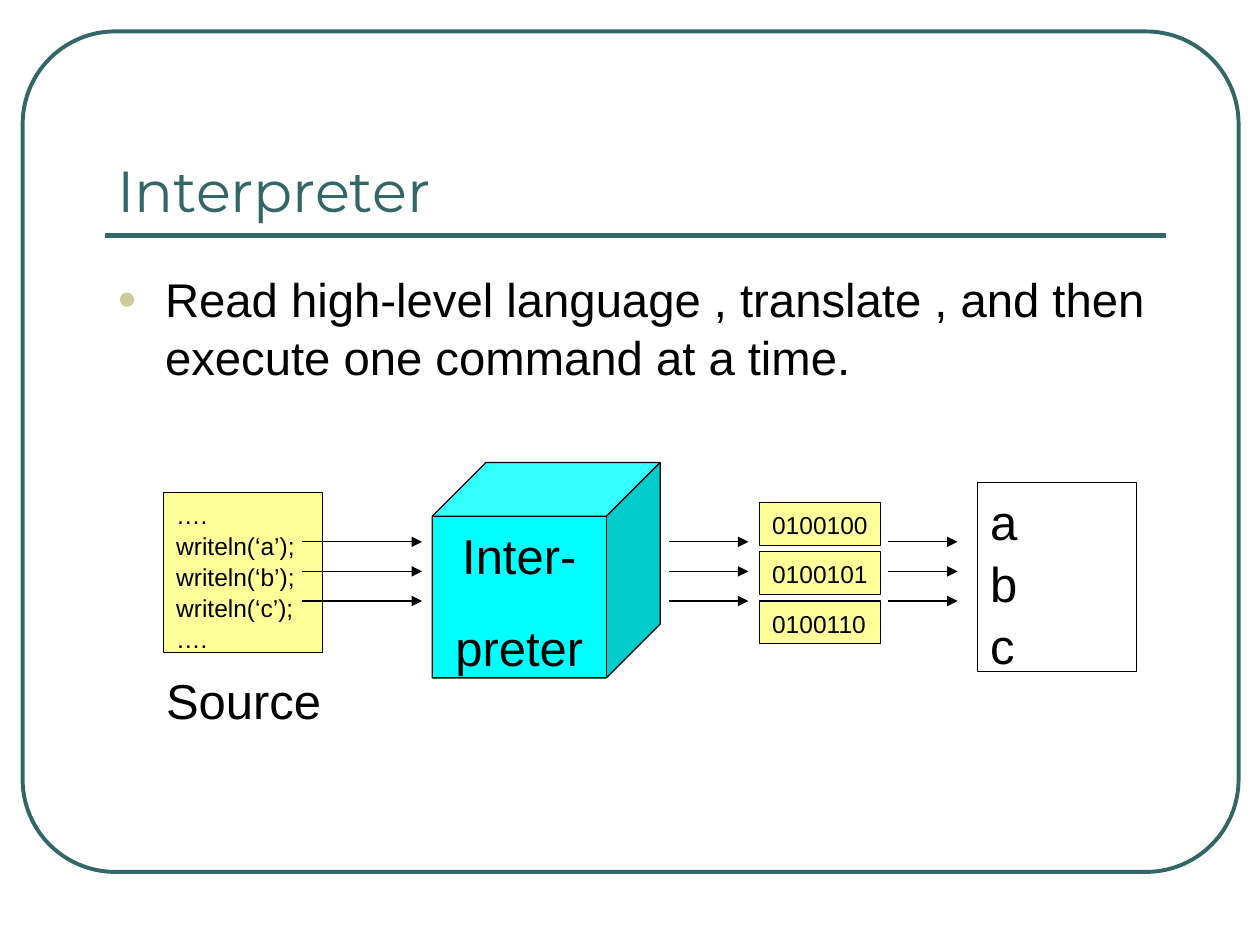
from dataclasses import dataclass

from lxml import etree
from pptx import Presentation
from pptx.dml.color import RGBColor
from pptx.enum.shapes import MSO_CONNECTOR, MSO_SHAPE
from pptx.enum.text import MSO_ANCHOR, MSO_AUTO_SIZE, PP_ALIGN
from pptx.oxml.ns import qn
from pptx.util import Inches, Pt

RECT, ROUNDED, CUBE = MSO_SHAPE.RECTANGLE, MSO_SHAPE.ROUNDED_RECTANGLE, MSO_SHAPE.CUBE
STRAIGHT = MSO_CONNECTOR.STRAIGHT
LEFT, CENTER = PP_ALIGN.LEFT, PP_ALIGN.CENTER
TOP, BOTTOM = MSO_ANCHOR.TOP, MSO_ANCHOR.BOTTOM
NO_AUTOFIT = MSO_AUTO_SIZE.NONE


@dataclass(frozen=True)
class Theme:
    accent: RGBColor = RGBColor.from_string("336666")
    bullet: str = "CCCC99"
    ink: RGBColor = RGBColor.from_string("000000")
    note: RGBColor = RGBColor.from_string("FFFF99")
    cube: RGBColor = RGBColor.from_string("00FFFF")
    title_font: str = "Montserrat"
    body_font: str = "Arial"
    title_size: int = 33
    body_size: int = 27
    label_size: int = 28
    code_size: int = 14
    frame_line: float = 2.25
    rule_line: float = 3
    thin_line: float = 0.75
    body_spacing: float = 1.03
    label_spacing: float = 1.05


THEME = Theme()


def place(sp, left, top, width, height):
    sp.left, sp.top = Inches(left), Inches(top)
    sp.width, sp.height = Inches(width), Inches(height)


def write(sp, lines, size, color=THEME.ink, font=THEME.body_font, align=LEFT,
          anchor=TOP, wrap=True, before=0, spacing=THEME.label_spacing):
    tf = sp.text_frame
    tf.auto_size = NO_AUTOFIT
    tf.word_wrap = wrap
    tf.vertical_anchor = anchor
    tf.margin_left = tf.margin_right = Inches(0.1)
    tf.margin_top = tf.margin_bottom = Inches(0.05)
    tf.text = "\n".join(lines)
    for p in tf.paragraphs:
        p.alignment = align
        p.space_before = Pt(before)
        p.line_spacing = spacing
        p.font.size = Pt(size)
        p.font.name = font
        p.font.color.rgb = color


def add_box(slide, kind, box, fill=None, line=THEME.ink, width=THEME.thin_line):
    sp = slide.shapes.add_shape(kind, *map(Inches, box))
    sp.shadow.inherit = False
    if fill is None:
        sp.fill.background()
    else:
        sp.fill.solid()
        sp.fill.fore_color.rgb = fill
    sp.line.color.rgb = line
    sp.line.width = Pt(width)
    return sp


def add_line(slide, x1, x2, y, color=THEME.ink, width=THEME.thin_line, arrow=False):
    line = slide.shapes.add_connector(STRAIGHT, Inches(x1), Inches(y), Inches(x2), Inches(y))
    line.line.color.rgb = color
    line.line.width = Pt(width)
    if arrow:
        etree.SubElement(line.line._get_or_add_ln(), qn("a:tailEnd"), type="triangle")
    etree.SubElement(line._element.spPr, qn("a:effectLst"))


def add_frame(slide, left, top, width, height):
    sp = add_box(slide, ROUNDED, (left, top, width, height),
                 line=THEME.accent, width=THEME.frame_line)
    sp.adjustments[0] = 0.11
    add_line(slide, left + 0.65, left + 9.07, top + 1.62, THEME.accent, THEME.rule_line)


def fill_title(sp, left, top, width, height):
    place(sp, left, top, width, height)
    write(sp, ["Interpreter"], THEME.title_size, THEME.accent, THEME.title_font,
          anchor=BOTTOM, spacing=1)


def fill_body(sp, left, top, width, height):
    place(sp, left, top, width, height)
    write(sp, ["Read high-level language , translate , and then execute one command at a time."],
          THEME.body_size, before=6.8, spacing=THEME.body_spacing)
    pPr = sp.text_frame.paragraphs[0]._p.get_or_add_pPr()
    pPr.set("marL", str(Inches(0.38)))
    pPr.set("indent", str(Inches(-0.38)))
    bullet = (
        ("buClr", {}), ("buSzPct", {"val": "70000"}),
        ("buFont", {"typeface": THEME.body_font}), ("buChar", {"char": "●"}),
    )
    nodes = [etree.Element(qn(f"a:{tag}"), attrs) for tag, attrs in bullet]
    etree.SubElement(nodes[0], qn("a:srgbClr"), val=THEME.bullet)
    at = pPr.index(pPr.find(qn("a:defRPr")))
    pPr[at:at] = nodes


def add_source(slide, left, top, width, height):
    sp = add_box(slide, RECT, (left, top, width, height), THEME.note)
    calls = [f"writeln(‘{letter}’);" for letter in "abc"]
    write(sp, ["….", *calls, "…."], THEME.code_size)
    label = slide.shapes.add_textbox(
        Inches(left - 0.08), Inches(top + height + 0.07), Inches(1.43), Inches(0.57))
    write(label, ["Source"], THEME.label_size, wrap=False)


def add_interpreter(slide, left, top, width, height):
    sp = add_box(slide, CUBE, (left, top, width, height), THEME.cube)
    sp.adjustments[0] = 0.25
    write(sp, ["Inter-", "preter"], THEME.label_size, align=CENTER, before=17.5)


def add_arrows(slide, left, top, width, height):
    for i in range(3):
        add_line(slide, left, left + width, top + i * height / 2, arrow=True)


def add_machine_code(slide, left, top, width, height):
    cell, codes = 0.34, ("0100100", "0100101", "0100110")
    pitch = (height - cell) / (len(codes) - 1)
    for i, code in enumerate(codes):
        sp = add_box(slide, RECT, (left, top + i * pitch, width, cell), THEME.note)
        write(sp, [code], THEME.code_size, wrap=False)


def add_output(slide, left, top, width, height):
    sp = add_box(slide, RECT, (left, top, width, height))
    write(sp, "abc", THEME.label_size)


def main():
    prs = Presentation()
    prs.slide_width, prs.slide_height = Inches(10), Inches(7.5)
    slide = prs.slides.add_slide(prs.slide_layouts[1])
    add_frame(slide, 0.18, 0.25, 9.65, 6.67)
    fill_title(slide.shapes.title, 0.83, 0.58, 8.42, 1.25)
    fill_body(slide.placeholders[1], 0.83, 2.08, 8.42, 2.13)
    add_source(slide, 1.3, 3.91, 1.26, 1.27)
    add_interpreter(slide, 3.43, 3.67, 1.81, 1.71)
    for left, width in ((2.4, 0.95), (5.31, 0.63), (7.05, 0.55)):
        add_arrows(slide, left, 4.3, width, 0.47)
    add_machine_code(slide, 6.03, 3.99, 0.96, 1.12)
    add_output(slide, 7.76, 3.83, 1.26, 1.5)
    prs.save("out.pptx")


if __name__ == "__main__":
    main()
